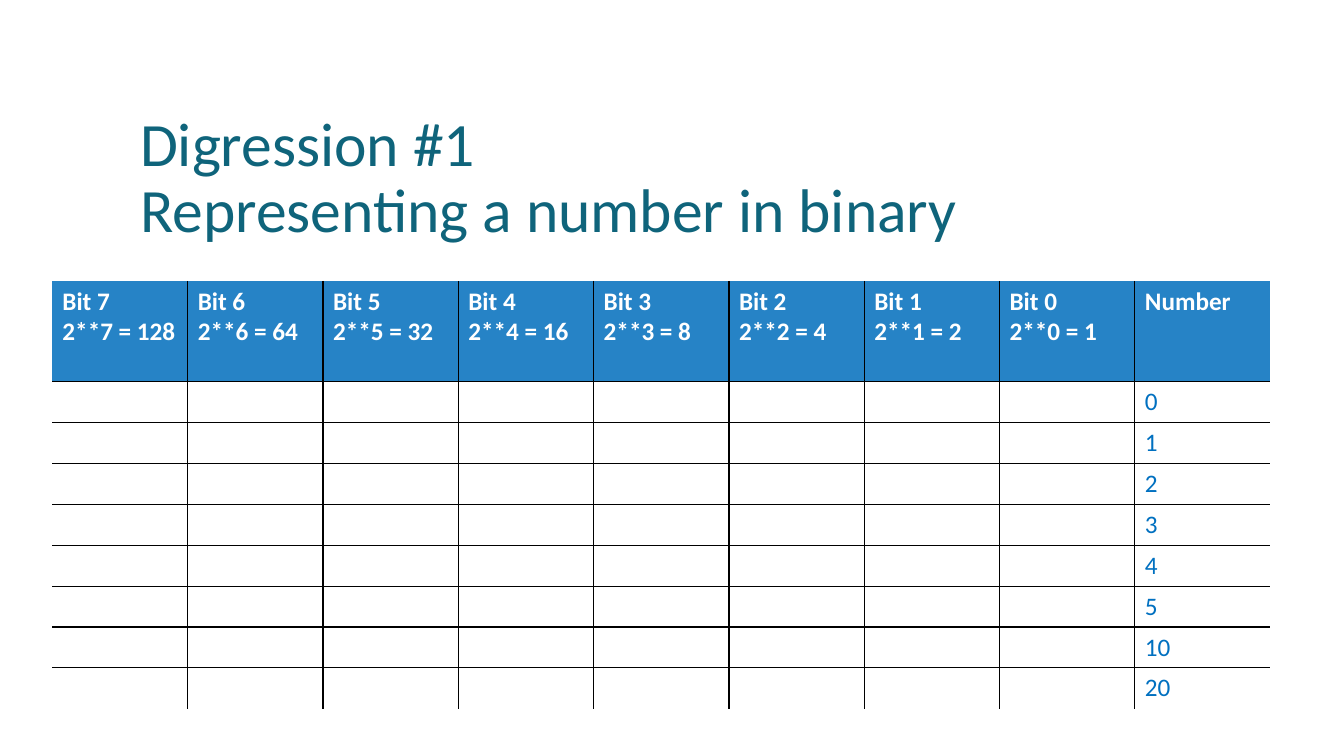
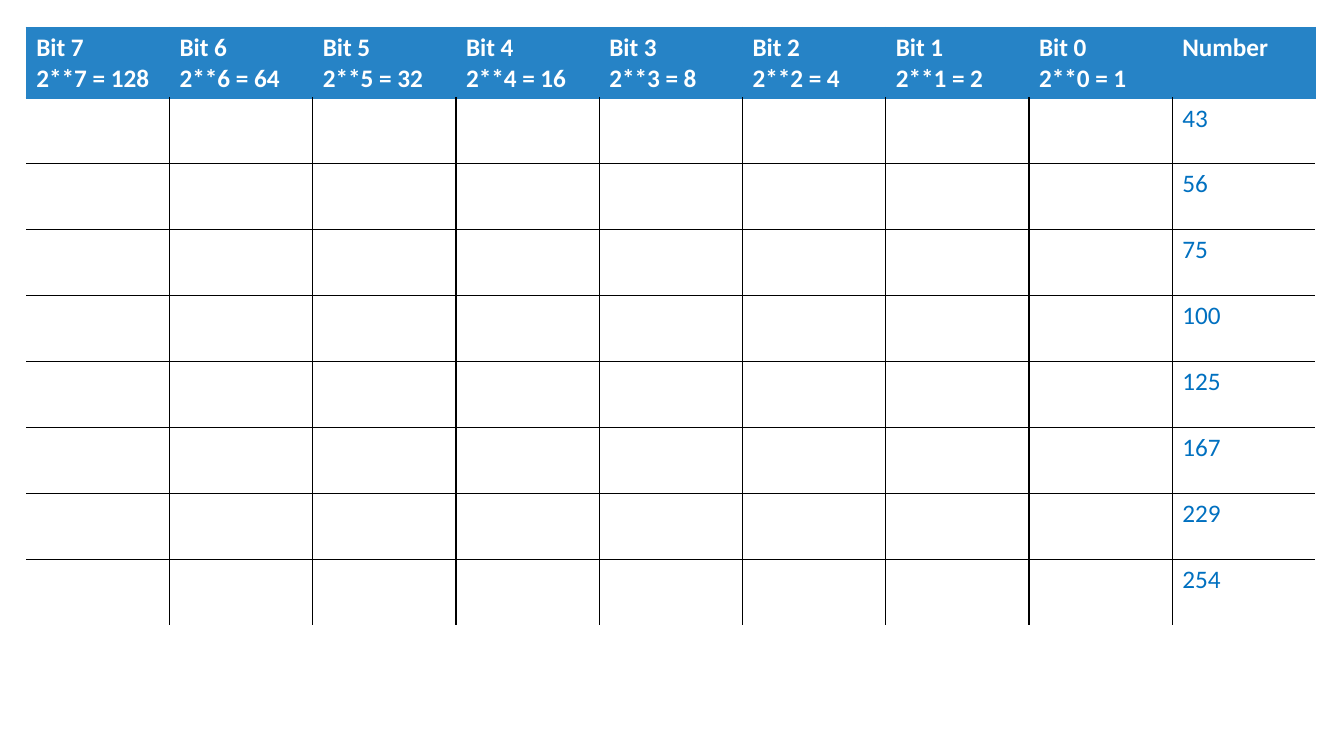
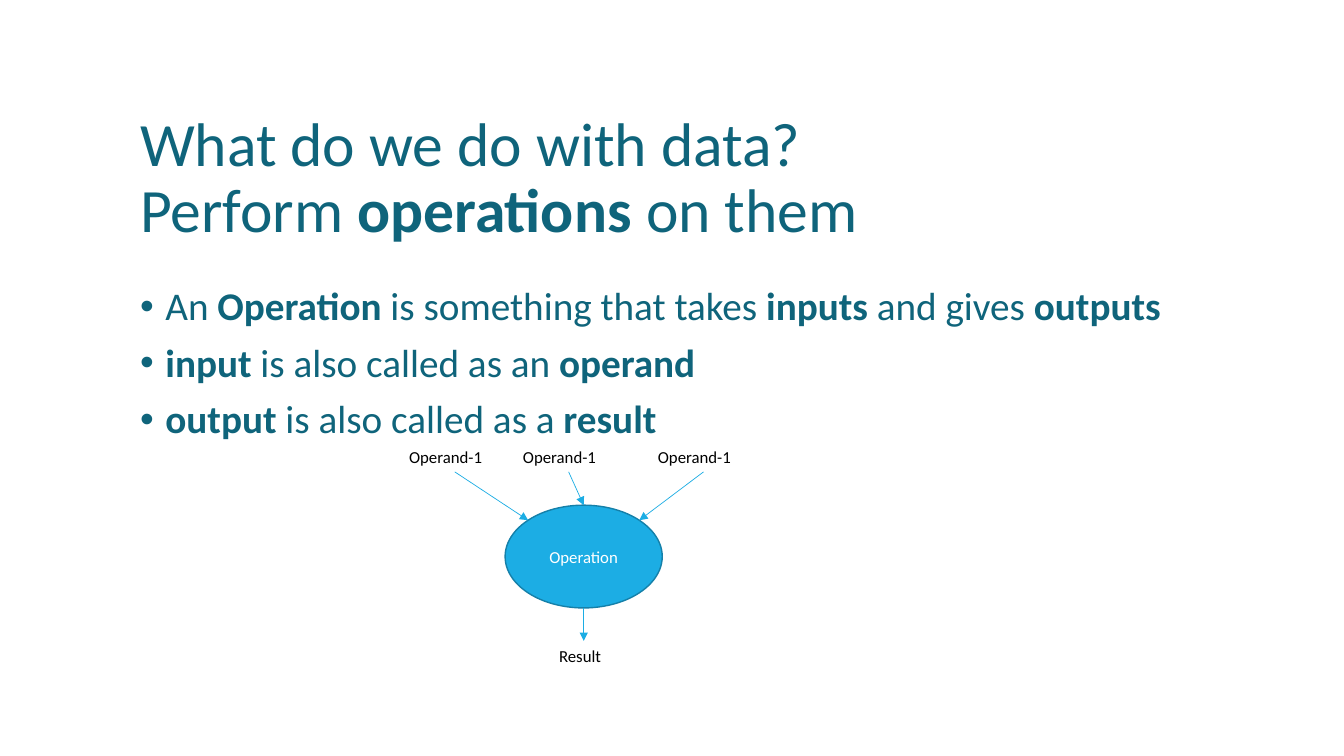
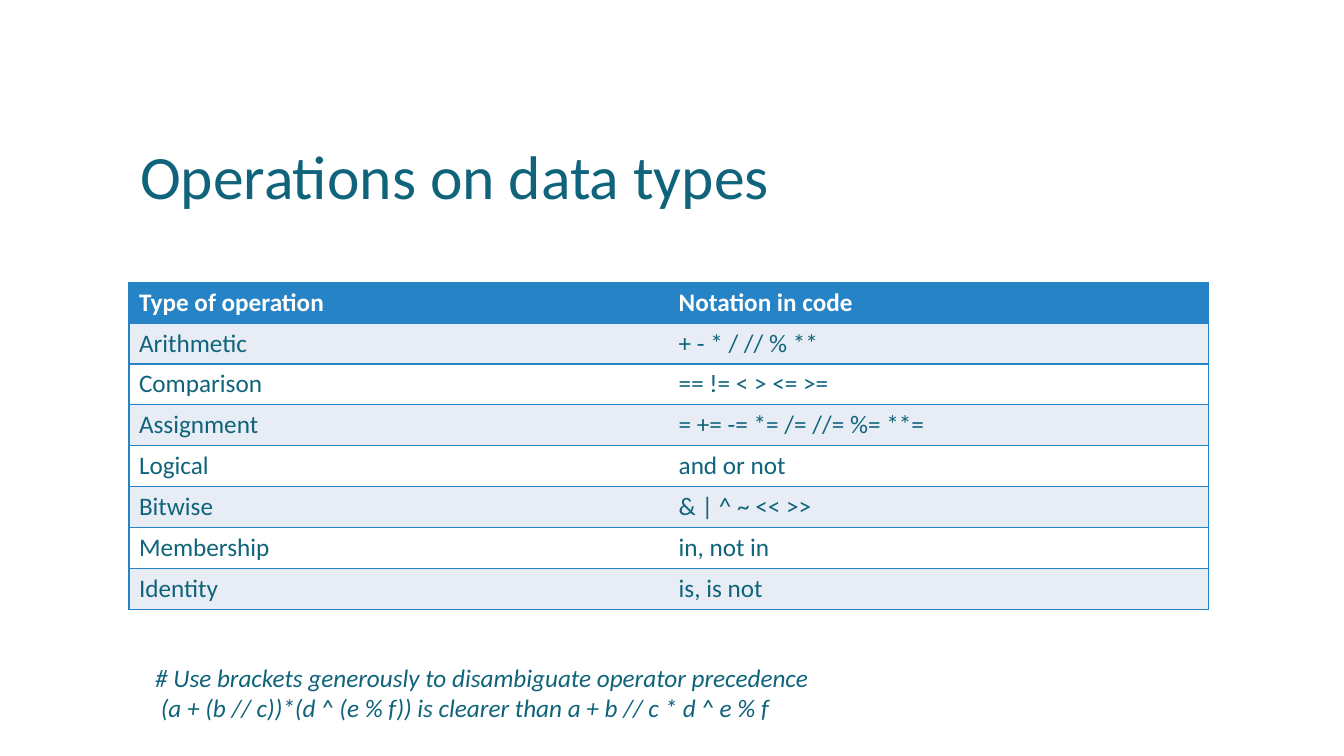
"""Build four slides on binary numbers and operations on data."""
from lxml.etree import SubElement
from pptx import Presentation
from pptx.dml.color import RGBColor
from pptx.enum.shapes import MSO_CONNECTOR, MSO_SHAPE
from pptx.enum.text import MSO_ANCHOR, PP_ALIGN
from pptx.oxml.ns import qn
from pptx.util import Cm, Pt

FONT = "Calibri"
TEAL, BLUE, SKY, SKY_DARK = "0F647B", "2683C6", "1CADE4", "1580A9"
NUMBER_BLUE, BAND, WHITE, BLACK = "0070C0", "E8EDF5", "FFFFFF", "000000"


def paint(fill, colour):
    fill.solid()
    fill.fore_color.rgb = RGBColor.from_string(colour)


def write(frame, text, size=18, colour=TEAL, bold=False, italic=False, align=PP_ALIGN.LEFT,
          anchor=MSO_ANCHOR.TOP, spacing=1.0, before=0, bullet=None):
    """Fill a frame; newlines part paragraphs, \\v breaks a line, _underscores_ mark bold."""
    frame.word_wrap = True
    frame.vertical_anchor = anchor
    for number, line in enumerate(text.split("\n")):
        para = frame.add_paragraph() if number else frame.paragraphs[0]
        para.alignment, para.line_spacing, para.space_before = align, spacing, Pt(before)
        if bullet:
            properties = para._p.get_or_add_pPr()
            properties.set("marL", str(Cm(0.64)))
            properties.set("indent", str(-Cm(0.64)))
            SubElement(properties, qn("a:buFont"), typeface="Arial")
            SubElement(properties, qn("a:buChar"), char=bullet)
        for index, part in enumerate(line.split("_")):
            for row, words in enumerate(part.split("\v")):
                if row:
                    para.add_line_break()
                if words:
                    span = para.add_run()
                    span.text = words
                    span.font.name, span.font.size = FONT, Pt(size)
                    span.font.bold, span.font.italic = bold or index % 2 == 1, italic
                    paint(span.font.fill, colour)


deck = Presentation()
deck.slide_width, deck.slide_height = Cm(33.87), Cm(19.05)
pages = [deck.slides.add_slide(deck.slide_layouts[6]) for _ in range(4)]
small_page, large_page, diagram_page, types_page = pages

titles = [
    (small_page, "Digression #1\vRepresenting a number in binary"),
    (diagram_page, "What do we do with data?\vPerform _operations_ on them"),
    (types_page, "Operations on data types"),
]
for page, title in titles:
    box = page.shapes.add_textbox(Cm(3.28), Cm(2.41), Cm(27.2), Cm(4.24))
    write(box.text_frame, title, size=44, anchor=MSO_ANCHOR.MIDDLE, spacing=0.9)

bit_header = [f"Bit {bit}\n2**{bit} = {2 ** bit}" for bit in range(7, -1, -1)] + ["Number"]
small_numbers, large_numbers = [
    [bit_header] + [[""] * 8 + [str(number)] for number in numbers]
    for numbers in ([0, 1, 2, 3, 4, 5, 10, 20], [43, 56, 75, 100, 125, 167, 229, 254])
]
operation_types = [
    ["Type of operation", "Notation in code"],
    ["Arithmetic", "+ - * / // % **"],
    ["Comparison", "== != < > <= >="],
    ["Assignment", "= += -= *= /= //= %= **="],
    ["Logical", "and or not"],
    ["Bitwise", "& | ^ ~ << >>"],
    ["Membership", "in, not in"],
    ["Identity", "is, is not"],
]
grid = dict(colour=NUMBER_BLUE, band=WHITE, outer=None, across=BLACK, down=BLACK)
tables = [
    dict(grid, page=small_page, rows=small_numbers, left=1.32, top=7.08, column=3.41,
         head=2.54, height=1.03, head_line=None),
    dict(grid, page=large_page, rows=large_numbers, left=0.66, top=0.69, column=3.61,
         head=1.66, height=1.66, head_line=BLUE),
    dict(page=types_page, rows=operation_types, left=3.25, top=7.11, column=13.6,
         head=1.03, height=1.03, head_line=None, colour=TEAL, band=BAND,
         outer=BLUE, across=BLUE, down=None),
]
for design in tables:
    rows = design["rows"]
    last_row, last_column = len(rows) - 1, len(rows[0]) - 1
    table = design["page"].shapes.add_table(
        len(rows), len(rows[0]), Cm(design["left"]), Cm(design["top"]),
        Cm(design["column"] * len(rows[0])), Cm(design["head"] + design["height"] * last_row)).table
    table.horz_banding = False
    for column in table.columns:
        column.width = Cm(design["column"])
    for row, texts in enumerate(rows):
        table.rows[row].height = Cm(design["height"] if row else design["head"])
        for column, text in enumerate(texts):
            cell = table.cell(row, column)
            write(cell.text_frame, text, colour=design["colour"] if row else WHITE, bold=row == 0)
            sides = {
                "L": design["down"] if column else design["outer"],
                "R": design["down"] if column < last_column else design["outer"],
                "T": design["across"] if row else design["outer"],
                "B": design["across"] if row < last_row else design["outer"],
            }
            if design["head_line"] and row == 0:
                sides = dict.fromkeys(sides, design["head_line"])
            elif design["head_line"] and row == 1:
                sides["T"] = design["head_line"]
            for side, line_colour in sides.items():
                border = SubElement(cell._tc.get_or_add_tcPr(), qn(f"a:ln{side}"), w=str(Pt(1)))
                if line_colour:
                    solid = SubElement(border, qn("a:solidFill"))
                    SubElement(solid, qn("a:srgbClr"), val=line_colour)
                else:
                    SubElement(border, qn("a:noFill"))
            paint(cell.fill, (design["band"] if row % 2 else WHITE) if row else BLUE)

box = diagram_page.shapes.add_textbox(Cm(3.28), Cm(7.11), Cm(27.2), Cm(9.47))
write(box.text_frame,
      "An _Operation_ is something that takes _inputs _and gives _outputs_\n"
      "_input _is also called as an _operand_\n"
      "_output _is also called as a _result_",
      size=28, spacing=0.9, before=10, bullet="•")

ellipse = diagram_page.shapes.add_shape(MSO_SHAPE.OVAL, Cm(12.73), Cm(12.73), Cm(3.96), Cm(2.59))
ellipse.shadow.inherit = False
paint(ellipse.fill, SKY)
paint(ellipse.line.fill, SKY_DARK)
ellipse.line.width = Pt(1)
write(ellipse.text_frame, "Operation", size=12, colour=WHITE, align=PP_ALIGN.CENTER,
      anchor=MSO_ANCHOR.MIDDLE)

labels = [("Operand-1", left, 11.13, 2.79) for left in (10.06, 12.93, 16.33)]
labels.append(("Result", 13.84, 16.15, 1.7))
for text, left, top, width in labels:
    box = diagram_page.shapes.add_textbox(Cm(left), Cm(top), Cm(width), Cm(0.76))
    write(box.text_frame, text, size=12, colour=BLACK)

arrows = [
    (11.46, 11.89, 13.31, 13.11),
    (14.33, 11.89, 14.71, 12.73),
    (17.73, 11.89, 16.11, 13.11),
    (14.71, 15.32, 14.71, 16.15),
]
for ends in arrows:
    arrow = diagram_page.shapes.add_connector(MSO_CONNECTOR.STRAIGHT, *[Cm(end) for end in ends])
    paint(arrow.line.fill, SKY)
    arrow.line.width = Pt(0.5)
    SubElement(arrow.line._get_or_add_ln(), qn("a:tailEnd"), type="triangle")
    SubElement(arrow._element.spPr, qn("a:effectLst"))

box = types_page.shapes.add_textbox(Cm(3.66), Cm(16.56), Cm(17), Cm(1.8))
write(box.text_frame,
      "# Use brackets generously to disambiguate operator precedence\n"
      " (a + (b // c))*(d ^ (e % f)) is clearer than a + b // c * d ^ e % f",
      italic=True)

deck.save("out.pptx")
